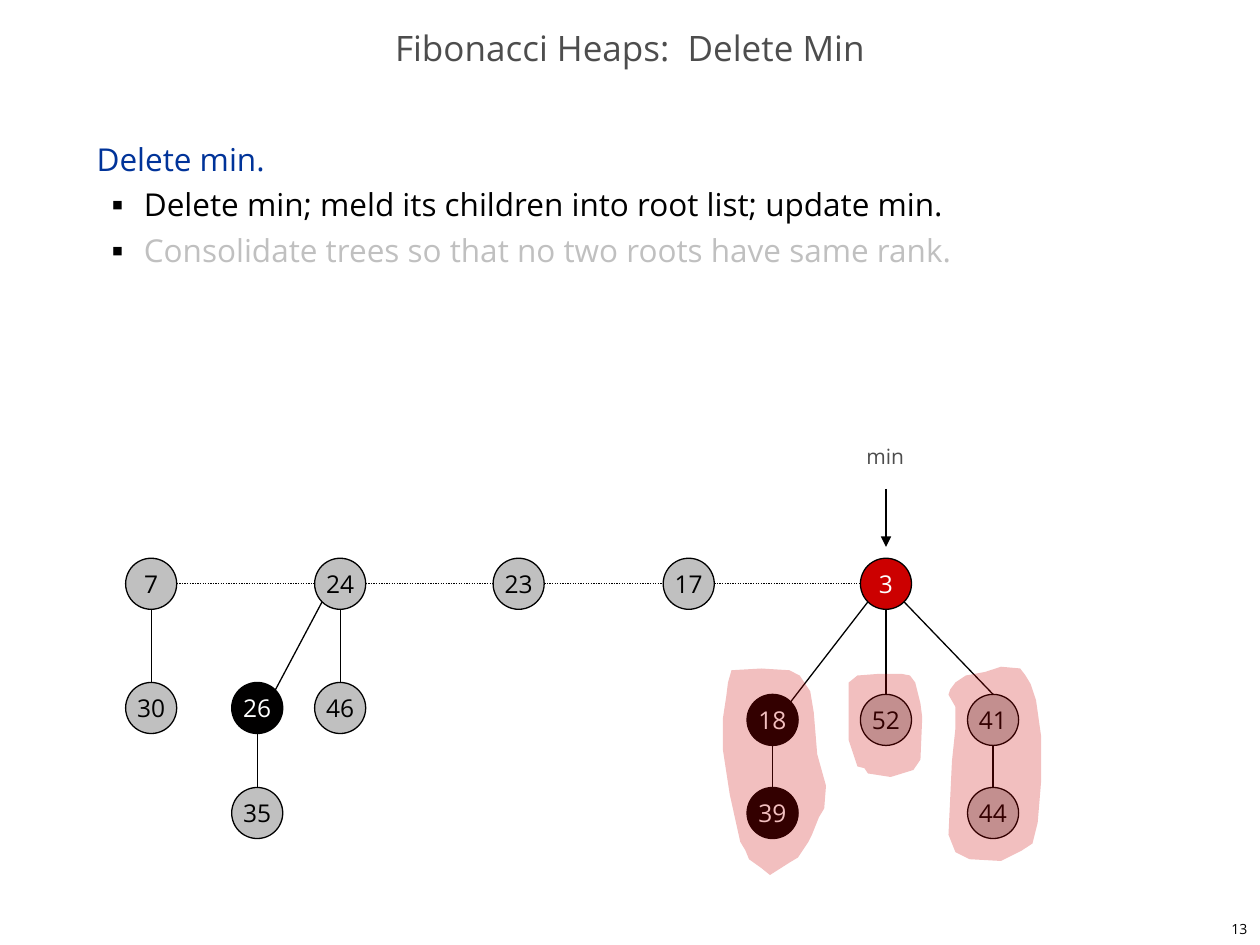
from lxml import etree
from pptx import Presentation
from pptx.dml.color import RGBColor
from pptx.enum import dml, shapes, text
from pptx.oxml.ns import qn
from pptx.util import Pt

BLACK, WHITE, GREY, SILVER, RED = "000000", "FFFFFF", "4D4D4D", "C0C0C0", "CC0000"
INK = "010000"


def color(hex_string):
    return RGBColor.from_string(hex_string)


def write(paragraph, words, size, hex_string):
    run = paragraph.add_run()
    run.text = words
    run.font.name = "Open Sans"
    run.font.size = Pt(size)
    run.font.color.rgb = color(hex_string)


presentation = Presentation()
presentation.slide_width, presentation.slide_height = Pt(720), Pt(540)
slide = presentation.slides.add_slide(presentation.slide_layouts[1])

# Title
title = slide.shapes.title
title.left, title.top, title.width, title.height = Pt(0), Pt(12), Pt(720), Pt(36)
title.text_frame.auto_size = text.MSO_AUTO_SIZE.NONE
title.text_frame.vertical_anchor = text.MSO_ANCHOR.MIDDLE
paragraph = title.text_frame.paragraphs[0]
paragraph.alignment = text.PP_ALIGN.CENTER
paragraph.line_spacing = 0.7
write(paragraph, "Fibonacci Heaps:  Delete Min", 20, GREY)

# Heading and its two steps
body = slide.placeholders[1]
body.left, body.top, body.width, body.height = Pt(48), Pt(72), Pt(618), Pt(426)
body.text_frame.auto_size = text.MSO_AUTO_SIZE.NONE
steps = [
    ("Delete min.", 0, "003399"),
    ("Delete min; meld its children into root list; update min.", 1, BLACK),
    ("Consolidate trees so that no two roots have same rank.", 1, SILVER),
]
for index, (words, level, hex_string) in enumerate(steps):
    paragraph = body.text_frame.paragraphs[0] if index == 0 else body.text_frame.add_paragraph()
    paragraph.level = level
    paragraph.line_spacing = Pt(26)
    paragraph.space_before = Pt(0)
    properties = paragraph._p.get_or_add_pPr()
    properties.set("marL", str(Pt(27 * level)))
    properties.set("indent", str(Pt(-18 * level)))
    if level == 0:
        etree.SubElement(properties, qn("a:buNone"))
    else:
        bullet_color = etree.SubElement(properties, qn("a:buClr"))
        etree.SubElement(bullet_color, qn("a:srgbClr"), val=BLACK)
        etree.SubElement(properties, qn("a:buSzPct"), val="35000")
        etree.SubElement(properties, qn("a:buFont"), typeface="Open Sans")
        etree.SubElement(properties, qn("a:buChar"), char="■")
    write(paragraph, words, 18, hex_string)

# Slide number and the label of the min pointer
labels = [
    ("13", 570, 522, 150, 18, 8, BLACK, text.PP_ALIGN.RIGHT, text.MSO_ANCHOR.MIDDLE),
    ("min", 488, 250, 36.5, 21.5, 12, GREY, text.PP_ALIGN.LEFT, text.MSO_ANCHOR.TOP),
]
for words, left, top, width, height, size, hex_string, alignment, anchor in labels:
    box = slide.shapes.add_textbox(Pt(left), Pt(top), Pt(width), Pt(height))
    box.text_frame.word_wrap = False
    box.text_frame.vertical_anchor = anchor
    paragraph = box.text_frame.paragraphs[0]
    paragraph.alignment = alignment
    write(paragraph, words, size, hex_string)

# Heap nodes: key -> centre x, centre y, fill, font colour
ROOTS, LEFT_CHILDREN, RIGHT_CHILDREN, LEAVES = 333.6, 404.6, 411.4, 464.6
RADIUS = 14.6
nodes = {
    7: (86.4, ROOTS, SILVER, BLACK),
    24: (194.4, ROOTS, SILVER, BLACK),
    23: (296.4, ROOTS, SILVER, BLACK),
    17: (393.6, ROOTS, SILVER, BLACK),
    3: (506.3, ROOTS, RED, WHITE),
    30: (86.4, LEFT_CHILDREN, SILVER, BLACK),
    26: (147, LEFT_CHILDREN, INK, WHITE),
    46: (194.4, LEFT_CHILDREN, SILVER, BLACK),
    18: (441.5, RIGHT_CHILDREN, INK, WHITE),
    52: (506.3, RIGHT_CHILDREN, SILVER, BLACK),
    41: (567.5, RIGHT_CHILDREN, SILVER, BLACK),
    35: (147, LEAVES, SILVER, BLACK),
    39: (441.5, LEAVES, INK, WHITE),
    44: (567.5, LEAVES, SILVER, BLACK),
}
for key, (x, y, fill, font) in nodes.items():
    node = slide.shapes.add_shape(
        shapes.MSO_SHAPE.OVAL, Pt(x - RADIUS), Pt(y - RADIUS), Pt(2 * RADIUS), Pt(2 * RADIUS))
    node.shadow.inherit = False
    node.fill.solid()
    node.fill.fore_color.rgb = color(fill)
    node.line.color.rgb = color(BLACK)
    node.line.width = Pt(0.75)
    node.text_frame.word_wrap = False
    node.text_frame.vertical_anchor = text.MSO_ANCHOR.MIDDLE
    paragraph = node.text_frame.paragraphs[0]
    paragraph.alignment = text.PP_ALIGN.CENTER
    write(paragraph, str(key), 14, font)

# Links run between points on the node outlines, given as directions from the centre
TOP, BOTTOM, LEFT, RIGHT = (0, -1), (0, 1), (-1, 0), (1, 0)
BOTTOM_LEFT, BOTTOM_RIGHT, TOP_RIGHT = (-0.71, 0.71), (0.71, 0.71), (0.71, -0.71)
root_list = [7, 24, 23, 17, 3]
links = [(a, RIGHT, b, LEFT) for a, b in zip(root_list, root_list[1:])]
links += [(parent, BOTTOM, child, TOP) for parent, child in
          [(7, 30), (24, 46), (26, 35), (3, 52), (18, 39), (41, 44)]]
links += [(24, BOTTOM_LEFT, 26, TOP_RIGHT), (3, BOTTOM_LEFT, 18, TOP_RIGHT),
          (3, BOTTOM_RIGHT, 41, TOP)]
lines = []
for start, start_side, end, end_side in links:
    points = [nodes[key][axis] + RADIUS * side[axis]
              for key, side in [(start, start_side), (end, end_side)] for axis in (0, 1)]
    lines.append((points, "dotted" if start_side == RIGHT else "solid"))
lines.append(([506.3, 279.4, 506.3, 312.5], "arrow"))
for points, style in lines:
    line = slide.shapes.add_connector(shapes.MSO_CONNECTOR.STRAIGHT, *[Pt(v) for v in points])
    line.line.color.rgb = color(BLACK)
    line.line.width = Pt(0.75)
    if style == "dotted":
        line.line.dash_style = dml.MSO_LINE.ROUND_DOT
    elif style == "arrow":
        etree.SubElement(line.line._get_or_add_ln(), qn("a:tailEnd"), type="triangle")
    etree.SubElement(line._element.spPr, qn("a:effectLst"))

# Translucent highlights over the subtrees of the minimum
highlights = [
    [(418.3, 383), (435, 381.5), (450.7, 383), (457.2, 386), (463, 394.6), (465, 406.8),
     (467.3, 430.6), (471.6, 449.3), (471, 461.5), (468, 467.3), (464.4, 476.6), (461.5, 481),
     (458, 487.4), (456.5, 490.3), (451.4, 493.2), (440, 499.7), (435, 496), (428.4, 491),
     (426.2, 486), (422.6, 481), (417.3, 454.5), (412.6, 427.7), (412.8, 411), (415.4, 398.2),
     (416.2, 389.5)],
    [(484.6, 389.5), (490, 386), (502.6, 385.2), (515, 385), (519.5, 386.5), (522.7, 389.5),
     (526.3, 402.5), (527, 410.4), (526.3, 434.2), (521.5, 440.5), (509, 444.2), (496, 442),
     (494, 439), (490.3, 437.8), (486.7, 429), (484.6, 422.6), (484.8, 406)],
    [(543, 393.8), (545.8, 390.2), (551.5, 386), (563, 383.8), (572.4, 381), (583.2, 381.6),
     (586, 386), (589, 391), (591.8, 399.6), (595.4, 421.2), (595, 446), (592.6, 470.2),
     (589.7, 482.4), (584, 486), (571.7, 491.8), (554, 491.2), (545.8, 486.7), (542.2, 476.6),
     (544.3, 434.9), (546, 416), (545.5, 404), (542.2, 397.4)],
]
for outline in highlights:
    builder = slide.shapes.build_freeform(*outline[0], scale=Pt(1))
    builder.add_line_segments(outline[1:], close=True)
    highlight = builder.convert_to_shape()
    highlight.shadow.inherit = False
    highlight.fill.solid()
    highlight.fill.fore_color.rgb = color(RED)
    highlight.line.fill.background()
    shade = highlight._element.spPr.find(qn("a:solidFill")).find(qn("a:srgbClr"))
    etree.SubElement(shade, qn("a:alpha"), val="25000")

presentation.save("out.pptx")
